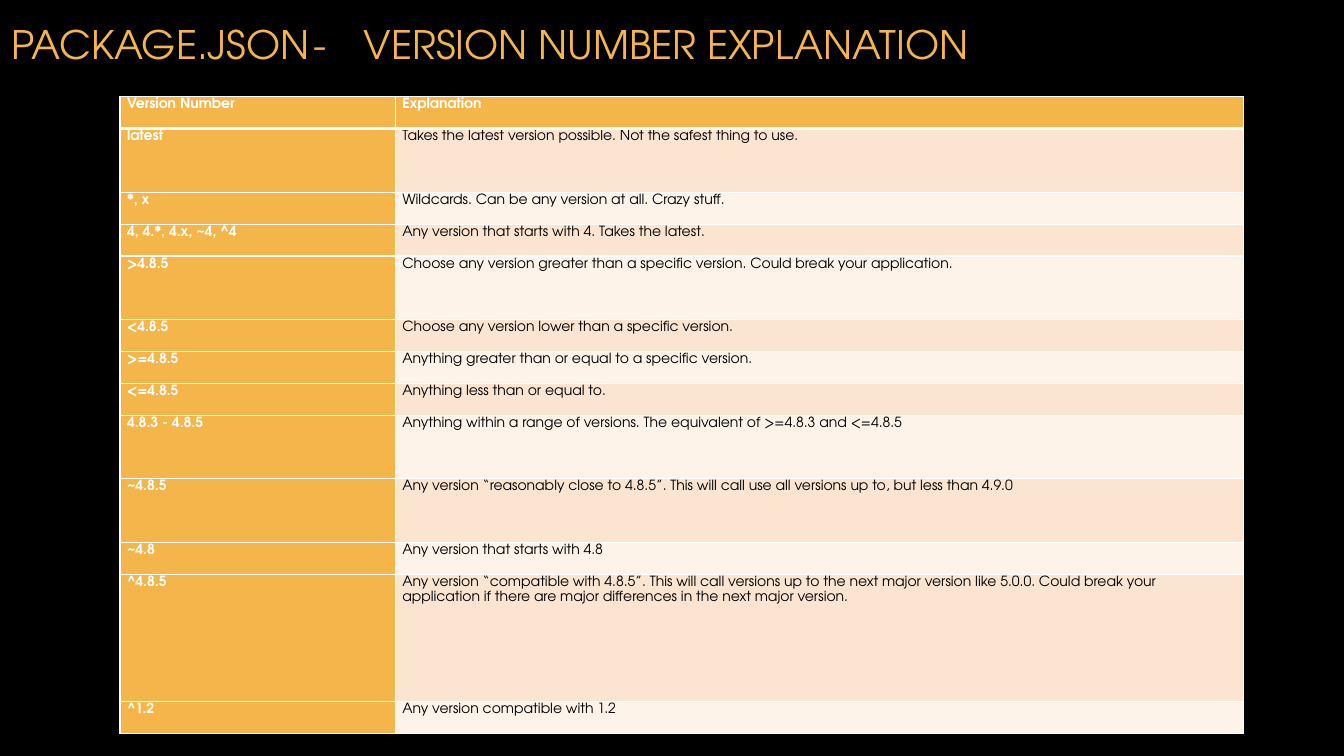
from lxml.etree import SubElement
from pptx import Presentation
from pptx.dml.color import RGBColor
from pptx.enum.text import MSO_ANCHOR, MSO_AUTO_SIZE, PP_ALIGN
from pptx.oxml.ns import qn
from pptx.util import Inches, Pt

TITLE = "PACKAGE.JSON\t-\tVERSION NUMBER EXPLANATION"
ROWS = [
    ("Version Number", "Explanation", 1),
    ("latest", "Takes the latest version possible. Not the safest thing to use.", 2),
    ("*, x", "Wildcards. Can be any version at all. Crazy stuff.", 1),
    ("4, 4.*, 4.x, ~4, ^4", "Any version that starts with 4. Takes the latest.", 1),
    (">4.8.5", "Choose any version greater than a specific version. Could break your application.", 2),
    ("<4.8.5", "Choose any version lower than a specific version.", 1),
    (">=4.8.5", "Anything greater than or equal to a specific version.", 1),
    ("<=4.8.5", "Anything less than or equal to.", 1),
    ("4.8.3 - 4.8.5", "Anything within a range of versions. The equivalent of >=4.8.3 and <=4.8.5", 2),
    ("~4.8.5", "Any version “reasonably close to 4.8.5”. This will call use all versions up to, "
     "but less than 4.9.0", 2),
    ("~4.8", "Any version that starts with 4.8", 1),
    ("^4.8.5", "Any version “compatible with 4.8.5”. This will call versions up to the next major "
     "version like 5.0.0. Could break your application if there are major differences in the "
     "next major version.", 4),
    ("^1.2", "Any version compatible with 1.2", 1),
]
FONT = "TeX Gyre Adventor"
ORANGE, WHITE, BLACK = "F4B54B", "FFFFFF", "000000"
BANDS = ["FDF3E9", "FBE5D0"]
COL_WIDTHS = [2.73, 8.41]
TABLE_LEFT, TABLE_TOP, TABLE_HEIGHT = 1.19, 0.96, 6.32


def rgb(color):
    return RGBColor.from_string(color)


def add_run(p, text, size, color, bold=False):
    r = p.add_run()
    r.text = text
    r.font.name = FONT
    r.font.size = Pt(size)
    r.font.bold = bold
    r.font.color.rgb = rgb(color)


def set_border(cell, side, width):
    ln = SubElement(cell._tc.get_or_add_tcPr(), qn(f"a:ln{side}"), w=str(Pt(width)))
    fill = SubElement(ln, qn("a:solidFill"))
    SubElement(fill, qn("a:srgbClr"), val=WHITE)


def fill_cell(cell, text, row, col):
    strong = row == 0 or col == 0
    for side in "LRTB":
        thick = (row == 0 and side == "B") or (row == 1 and side == "T")
        set_border(cell, side, 3 if thick else 1)
    cell.fill.solid()
    cell.fill.fore_color.rgb = rgb(ORANGE if strong else BANDS[row % 2])
    cell.margin_left = cell.margin_right = Inches(0.07)
    cell.margin_top = cell.margin_bottom = 0
    cell.vertical_anchor = MSO_ANCHOR.TOP
    p = cell.text_frame.paragraphs[0]
    p.line_spacing = 1.15
    add_run(p, text, 10, WHITE if strong else BLACK, strong)


def add_title(s):
    sp = s.shapes.title
    sp.left, sp.top, sp.width, sp.height = (Inches(v) for v in (0.01, -0.1, 13.33, 1.07))
    tf = sp.text_frame
    tf.auto_size = MSO_AUTO_SIZE.NONE
    tf.word_wrap = True
    tf.vertical_anchor = MSO_ANCHOR.MIDDLE
    p = tf.paragraphs[0]
    p.alignment = PP_ALIGN.LEFT
    add_run(p, TITLE, 28, ORANGE)


def add_versions(s):
    table = s.shapes.add_table(
        len(ROWS), len(COL_WIDTHS), Inches(TABLE_LEFT), Inches(TABLE_TOP),
        Inches(sum(COL_WIDTHS)), Inches(TABLE_HEIGHT)).table
    for column, width in zip(table.columns, COL_WIDTHS):
        column.width = Inches(width)
    unit = TABLE_HEIGHT / sum(units for _, _, units in ROWS)
    for i, (version, explanation, units) in enumerate(ROWS):
        table.rows[i].height = Inches(unit * units)
        for j, text in enumerate((version, explanation)):
            fill_cell(table.cell(i, j), text, i, j)


def main():
    prs = Presentation()
    prs.slide_width, prs.slide_height = Inches(13.33), Inches(7.5)
    s = prs.slides.add_slide(prs.slide_layouts[5])
    s.background.fill.solid()
    s.background.fill.fore_color.rgb = rgb(BLACK)
    add_title(s)
    add_versions(s)
    prs.save("out.pptx")


if __name__ == "__main__":
    main()
